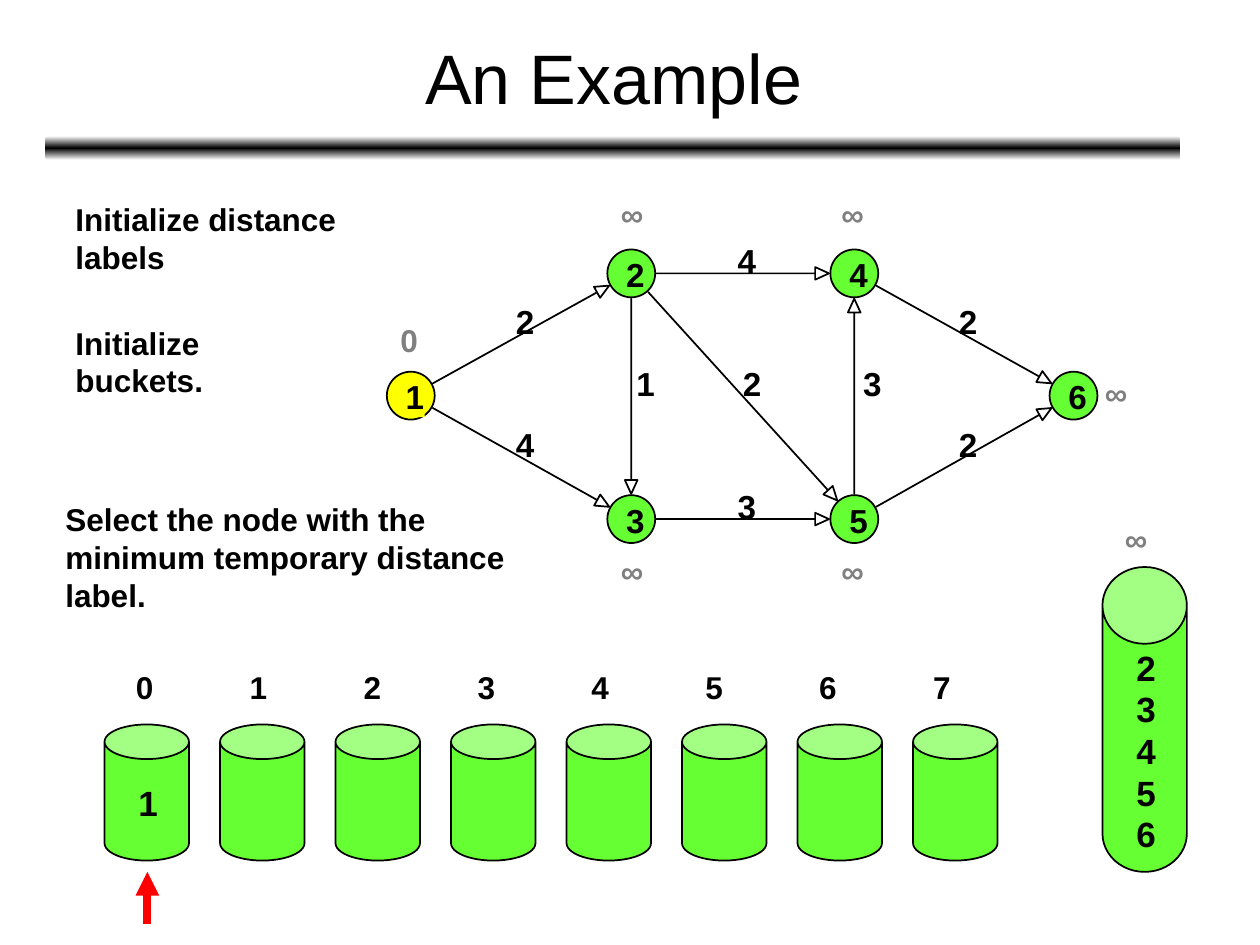
import copy
import math
import pptx
import pptx.dml.color
import pptx.enum.shapes
import pptx.enum.text
import pptx.oxml
import pptx.oxml.ns
import pptx.util

Inches = pptx.util.Inches
RGBColor = pptx.dml.color.RGBColor
SHAPE = pptx.enum.shapes.MSO_SHAPE
BLACK = RGBColor(0, 0, 0)
WHITE = RGBColor(255, 255, 255)
GREEN = RGBColor(0x66, 0xFF, 0x33)
YELLOW = RGBColor(255, 255, 0)
GRAY = RGBColor(0x80, 0x80, 0x80)
RED = RGBColor(255, 0, 0)

deck = pptx.Presentation()
deck.slide_width, deck.slide_height = Inches(10), Inches(7.5)
slide = deck.slides.add_slide(deck.slide_layouts[6])
shapes = slide.shapes


def add_text(text, x, y, wide, high, size=18, color=BLACK, bold=True, tight=False):
    """Add a one-run text box; a tight one has no margins and no wrapping."""
    box = shapes.add_textbox(Inches(x), Inches(y), Inches(wide), Inches(high))
    frame = box.text_frame
    frame.word_wrap = not tight
    frame.auto_size = pptx.enum.text.MSO_AUTO_SIZE.SHAPE_TO_FIT_TEXT
    if tight:
        frame.margin_left = frame.margin_right = 0
        frame.margin_top = frame.margin_bottom = 0
    run = frame.paragraphs[0].add_run()
    run.text = text
    run.font.name = "Arial"
    run.font.size = pptx.util.Pt(size)
    run.font.bold = bold
    run.font.color.rgb = color
    return box


def add_solid(kind, x, y, wide, high, fill):
    """Add a filled shape with a thin black outline."""
    shape = shapes.add_shape(kind, Inches(x), Inches(y), Inches(wide), Inches(high))
    shape.shadow.inherit = False
    shape.fill.solid()
    shape.fill.fore_color.rgb = fill
    shape.line.color.rgb = BLACK
    shape.line.width = pptx.util.Pt(1)
    return shape


# Title and rule
bar = add_solid(SHAPE.ROUNDED_RECTANGLE, 0.36, 1.08, 9.01, 0.19, BLACK)
bar.line.fill.background()
bar.fill.gradient()
bar.fill.gradient_angle = 90
for stop, place in zip(bar.fill.gradient_stops, (0, 1)):
    stop.color.rgb = WHITE
    stop.position = place
first = bar.fill._xPr.find(".//" + pptx.oxml.ns.qn("a:gs"))
first.addnext(copy.deepcopy(first))
middle = bar.fill.gradient_stops[1]
middle.color.rgb = BLACK
middle.position = 0.5

title = add_text("An Example", 0.37, 0.11, 9, 0.99, 40, bold=False)
title.text_frame.auto_size = pptx.enum.text.MSO_AUTO_SIZE.NONE
title.text_frame.vertical_anchor = pptx.enum.text.MSO_ANCHOR.MIDDLE
title.text_frame.paragraphs[0].alignment = pptx.enum.text.PP_ALIGN.CENTER

# Graph nodes
nodes = {1: (3.26, 3.14), 2: (5.01, 2.17), 3: (5.01, 4.12),
         4: (6.78, 2.17), 5: (6.78, 4.12), 6: (8.52, 3.14)}
for name, (x, y) in nodes.items():
    fill = YELLOW if name == 1 else GREEN
    add_solid(SHAPE.OVAL, x - 0.19, y - 0.19, 0.38, 0.38, fill)
    digit = add_text(str(name), x - 0.04, y - 0.15, 0.15, 0.32, 19, tight=True)
    if name == 1:
        digit.fill.solid()
        digit.fill.fore_color.rgb = YELLOW

# Edges with hollow heads: start node, end node, length, label shift
edges = [(1, 2, 2, -0.04), (2, 4, 4, -0.04), (2, 5, 2, 0), (2, 3, 1, 0.04),
         (3, 5, 3, -0.04), (1, 3, 4, -0.04), (4, 6, 2, -0.04),
         (5, 4, 3, 0.07), (5, 6, 2, -0.04)]
GAP, HEAD, HALF = 0.2, 0.11, 0.05
for start, end, cost, shift in edges:
    (x1, y1), (x2, y2) = nodes[start], nodes[end]
    span = math.hypot(x2 - x1, y2 - y1)
    ux, uy = (x2 - x1) / span, (y2 - y1) / span
    tail = (x1 + GAP * ux, y1 + GAP * uy)
    tip = (x2 - GAP * ux, y2 - GAP * uy)
    neck = (tip[0] - HEAD * ux, tip[1] - HEAD * uy)
    left = (neck[0] - HALF * uy, neck[1] + HALF * ux)
    right = (neck[0] + HALF * uy, neck[1] - HALF * ux)
    path = shapes.build_freeform(Inches(tail[0]), Inches(tail[1]))
    path.add_line_segments(
        [(Inches(x), Inches(y)) for x, y in (neck, left, tip, right, neck)])
    edge = path.convert_to_shape()
    edge.shadow.inherit = False
    edge.fill.background()
    edge.line.color.rgb = BLACK
    edge.line.width = pptx.util.Pt(1)
    add_text(str(cost), (x1 + x2) / 2 + shift, (y1 + y2) / 2 - 0.26,
             0.15, 0.32, 19, tight=True)

# Distance labels
marks = [("0", 3.08, 2.5), ("∞", 4.83, 1.5), ("∞", 4.83, 4.33), ("∞", 6.58, 1.5),
         ("∞", 6.58, 4.33), ("∞", 8.67, 2.92), ("∞", 8.83, 4.08)]
for mark, x, y in marks:
    add_text(mark, x, y, 0.42, 0.5, color=GRAY)

# Steps
add_text("Initialize distance labels", 0.5, 1.54, 2.92, 0.9)
add_text("Initialize buckets.", 0.5, 2.52, 1.83, 0.9)
add_text("Select the node with the minimum temporary distance label.",
         0.42, 3.92, 4, 1.3)

# Buckets
for i in range(8):
    can = add_solid(SHAPE.CAN, 0.83 + i * 11 / 12, 5.75, 0.67, 1.08, GREEN)
    can.adjustments[0] = 0.41
    add_text(str(i), 0.98 + i * 0.904, 5.25, 0.5, 0.5)
add_text("1", 1, 6.15, 0.33, 0.43, 20)

can = add_solid(SHAPE.CAN, 8.75, 4.5, 0.67, 2.42, GREEN)
can.adjustments[0] = 0.91
for i in range(5):
    add_text(str(i + 2), 8.92, 5.08 + i * 0.33, 0.33, 0.43, 20)

# Pointer to the current bucket
arrow = shapes.add_connector(
    pptx.enum.shapes.MSO_CONNECTOR.STRAIGHT,
    Inches(1.17), Inches(7.33), Inches(1.17), Inches(6.92))
arrow.line.color.rgb = RED
arrow.line.width = pptx.util.Pt(4.5)
head = pptx.oxml.parse_xml(
    '<a:tailEnd xmlns:a="http://schemas.openxmlformats.org/drawingml/2006/main"'
    ' type="triangle"/>')
arrow.line._get_or_add_ln().append(head)
props = arrow._element.spPr
props.append(props.makeelement(pptx.oxml.ns.qn("a:effectLst"), {}))

deck.save("out.pptx")
